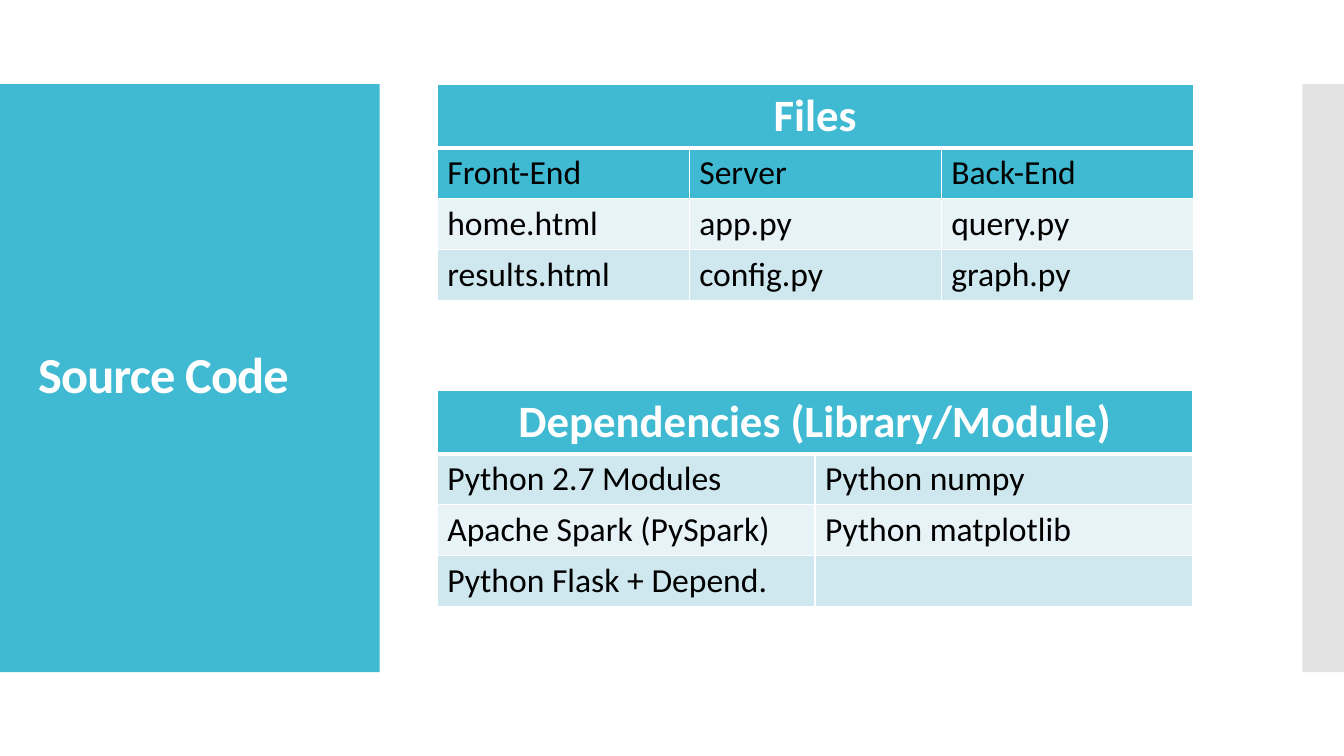
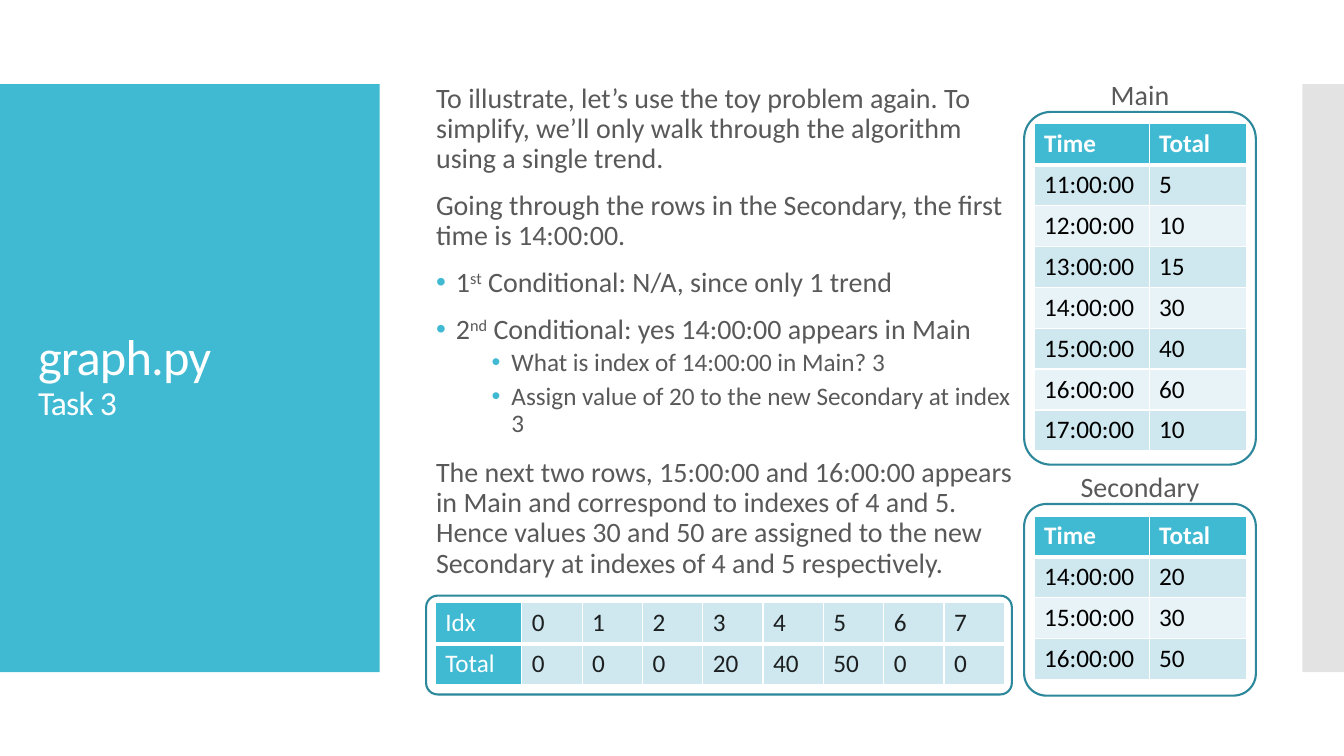
from lxml import etree
from pptx import Presentation
from pptx.dml.color import RGBColor
from pptx.enum.shapes import MSO_SHAPE
from pptx.enum.text import MSO_ANCHOR, PP_ALIGN
from pptx.oxml.ns import qn
from pptx.util import Cm, Pt

RECT, ROUND = MSO_SHAPE.RECTANGLE, MSO_SHAPE.ROUNDED_RECTANGLE
MIDDLE, TOP = MSO_ANCHOR.MIDDLE, MSO_ANCHOR.TOP
LEFT, CENTER = PP_ALIGN.LEFT, PP_ALIGN.CENTER

FONT = "Calibri"
COLORS = {
    "accent": "40BAD2",
    "outline": "2C889A",
    "strip": "C8C8C8",
    "body": "595959",
    "white": "FFFFFF",
    "black": "000000",
    "ink": "1C2021",
    "band_dark": "CFE7EE",
    "band_light": "E8F3F7",
}
BAND_TOP, BAND_HEIGHT = 2.12, 14.82
ROW_HEIGHT = 1.03


def rgb(name):
    return RGBColor.from_string(COLORS[name])


def add_color(parent, name):
    fill = etree.SubElement(parent, qn("a:srgbClr"))
    fill.set("val", COLORS[name])
    return fill


def write(p, text, size=20, color="body", bold=False, tracking=None, raised=False):
    r = p.add_run()
    r.text = text
    r.font.name = FONT
    r.font.size = Pt(size)
    r.font.bold = bold
    r.font.color.rgb = rgb(color)
    props = r.font._element
    if tracking is not None:
        props.set("spc", str(round(tracking * 100)))
    if raised:
        props.set("baseline", "30000")


def add_paragraph(tf, align=LEFT, spacing=0.9, before=0, after=0, indent=None):
    p = tf.paragraphs[0]
    if p.runs:
        p = tf.add_paragraph()
    p.alignment = align
    p.line_spacing = spacing
    p.space_before, p.space_after = Pt(before), Pt(after)
    if indent is not None:
        props = p._p.get_or_add_pPr()
        props.set("marL", str(Cm(indent)))
        props.set("indent", str(-Cm(0.5)))
        add_color(etree.SubElement(props, qn("a:buClr")), "accent")
        etree.SubElement(props, qn("a:buFont")).set("typeface", "Arial")
        etree.SubElement(props, qn("a:buChar")).set("char", "•")
    return p


def add_textbox(s, x, y, w, h, anchor=TOP):
    tf = s.shapes.add_textbox(Cm(x), Cm(y), Cm(w), Cm(h)).text_frame
    tf.word_wrap = True
    tf.vertical_anchor = anchor
    return tf


def add_band(s, x, w, color, alpha=100):
    sp = s.shapes.add_shape(RECT, Cm(x), Cm(BAND_TOP), Cm(w), Cm(BAND_HEIGHT))
    sp.shadow.inherit = False
    sp.line.fill.background()
    sp.fill.solid()
    sp.fill.fore_color.rgb = rgb(color)
    if alpha < 100:
        clr = sp._element.spPr.find(qn("a:solidFill")).find(qn("a:srgbClr"))
        etree.SubElement(clr, qn("a:alpha")).set("val", str(alpha * 1000))


def add_frame(s, x, y, w, h):
    sp = s.shapes.add_shape(ROUND, Cm(x), Cm(y), Cm(w), Cm(h))
    sp.shadow.inherit = False
    sp.adjustments[0] = 0.116
    sp.fill.background()
    sp.line.color.rgb = rgb("outline")
    sp.line.width = Pt(1.5)


def add_borders(cell, top, bottom):
    props = cell._tc.get_or_add_tcPr()
    for side, width in (("L", 1), ("R", 1), ("T", top), ("B", bottom)):
        ln = etree.SubElement(props, qn(f"a:ln{side}"))
        ln.set("w", str(Pt(width)))
        add_color(etree.SubElement(ln, qn("a:solidFill")), "white")


def header_row_look(row, col):
    if row == 0:
        return "accent", "white", True
    return ("band_dark" if row % 2 else "band_light"), "black", False


def two_header_rows_look(row, col):
    fill, color, bold = header_row_look(row, col)
    return ("accent" if row == 1 else fill), color, bold


def header_column_look(row, col):
    if col == 0:
        return "accent", "white", False
    return "band_dark", "ink", False


def add_table(s, x, y, widths, heights, rows, size=18, head_size=18, look=header_row_look):
    frame = s.shapes.add_table(
        len(rows), len(widths), Cm(x), Cm(y), Cm(sum(widths)), Cm(sum(heights)))
    table = frame.table
    table.first_row = table.horz_banding = False
    for column, width in zip(table.columns, widths):
        column.width = Cm(width)
    for i, (row, height) in enumerate(zip(rows, heights)):
        table.rows[i].height = Cm(height)
        merged = len(row) < len(widths)
        if merged:
            table.cell(i, 0).merge(table.cell(i, len(widths) - 1))
        for j in range(len(widths)):
            cell = table.cell(i, j)
            fill, color, bold = look(i, j)
            add_borders(cell, 3 if i == 1 else 1, 3 if i == 0 else 1)
            cell.fill.solid()
            cell.fill.fore_color.rgb = rgb(fill)
            if j < len(row) and row[j]:
                p = add_paragraph(cell.text_frame, CENTER if merged else LEFT, 1)
                write(p, row[j], size=size if i else head_size, color=color, bold=bold)


def add_listing(s, y, widths, rows, **options):
    heights = [1.6] + [1.28] * (len(rows) - 1)
    add_table(s, 11.02, y, widths, heights, rows, size=24, head_size=32, **options)


def add_time_table(s, caption, y, h, rows):
    x, w = 25.81, 5.84
    rows = [("Time", "Total")] + rows
    add_table(s, x + 0.25, y + 0.3, [2.9, 2.46], [ROW_HEIGHT] * len(rows), rows)
    add_frame(s, x, y, w, h)
    tf = add_textbox(s, x, y - 1, w, 1.12)
    write(add_paragraph(tf, CENTER, 1), caption)


def add_slide(prs, title, subtitle=None, bold=False):
    s = prs.slides.add_slide(prs.slide_layouts[6])
    add_band(s, 0, 9.57, "accent")
    add_band(s, 32.82, 1.05, "strip", alpha=50)
    p = add_paragraph(add_textbox(s, 0.71, 3.12, 8.18, 12.78, MIDDLE))
    write(p, title, size=36, color="white", bold=bold, tracking=-0.6)
    if subtitle:
        p.add_line_break()
        write(p, subtitle, size=24, color="white", tracking=-0.6)
    return s


def add_walkthrough(s):
    tf = add_textbox(s, 10.74, 1.8, 15.06, 13.11, MIDDLE)
    for text in (
        "To illustrate, let’s use the toy problem again. To simplify, we’ll only "
        "walk through the algorithm using a single trend.",
        "Going through the rows in the Secondary, the first time is 14:00:00.",
    ):
        write(add_paragraph(tf, before=12), text)
    for number, ordinal, text in (
        ("1", "st", " Conditional: N/A, since only 1 trend"),
        ("2", "nd", " Conditional: yes 14:00:00 appears in Main"),
    ):
        p = add_paragraph(tf, before=12, indent=0.5)
        write(p, number)
        write(p, ordinal, raised=True)
        write(p, text)
    for text in (
        "What is index of 14:00:00 in Main? 3",
        "Assign value of 20 to the new Secondary at index 3",
    ):
        write(add_paragraph(tf, before=2.5, after=2.5, indent=1.9), text, size=18)
    write(
        add_paragraph(tf, before=12),
        "The next two rows, 15:00:00 and 16:00:00 appears in Main and correspond to "
        "indexes of 4 and 5. Hence values 30 and 50 are assigned to the new Secondary "
        "at indexes of 4 and 5 respectively.")


def source_code_slide(prs):
    s = add_slide(prs, "Source Code", bold=True)
    add_listing(s, BAND_TOP, [6.35] * 3, [
        ("Files",),
        ("Front-End", "Server", "Back-End"),
        ("home.html", "app.py", "query.py"),
        ("results.html", "config.py", "graph.py"),
    ], look=two_header_rows_look)
    add_listing(s, 9.83, [9.52] * 2, [
        ("Dependencies (Library/Module)",),
        ("Python 2.7 Modules", "Python numpy"),
        ("Apache Spark (PySpark)", "Python matplotlib"),
        ("Python Flask + Depend.", ""),
    ])


def graph_slide(prs):
    s = add_slide(prs, "graph.py", "Task 3")
    add_walkthrough(s)
    totals = ("5", "10", "15", "30", "40", "60", "10")
    add_time_table(s, "Main", 2.82, 8.89, [
        (f"{hour}:00:00", total) for hour, total in enumerate(totals, 11)])
    add_time_table(s, "Secondary", 12.7, 4.83, [
        ("14:00:00", "20"), ("15:00:00", "30"), ("16:00:00", "50")])
    add_table(s, 10.97, 15.19, [2.18] + [1.52] * 8, [ROW_HEIGHT] * 2, [
        ("Idx", *"01234567"),
        ("Total", "0", "0", "0", "20", "40", "50", "0", "0"),
    ], look=header_column_look)
    add_frame(s, 10.74, 15.01, 14.76, 2.49)


def main():
    prs = Presentation()
    prs.slide_width, prs.slide_height = Cm(33.87), Cm(19.05)
    source_code_slide(prs)
    graph_slide(prs)
    prs.save("out.pptx")


if __name__ == "__main__":
    main()
